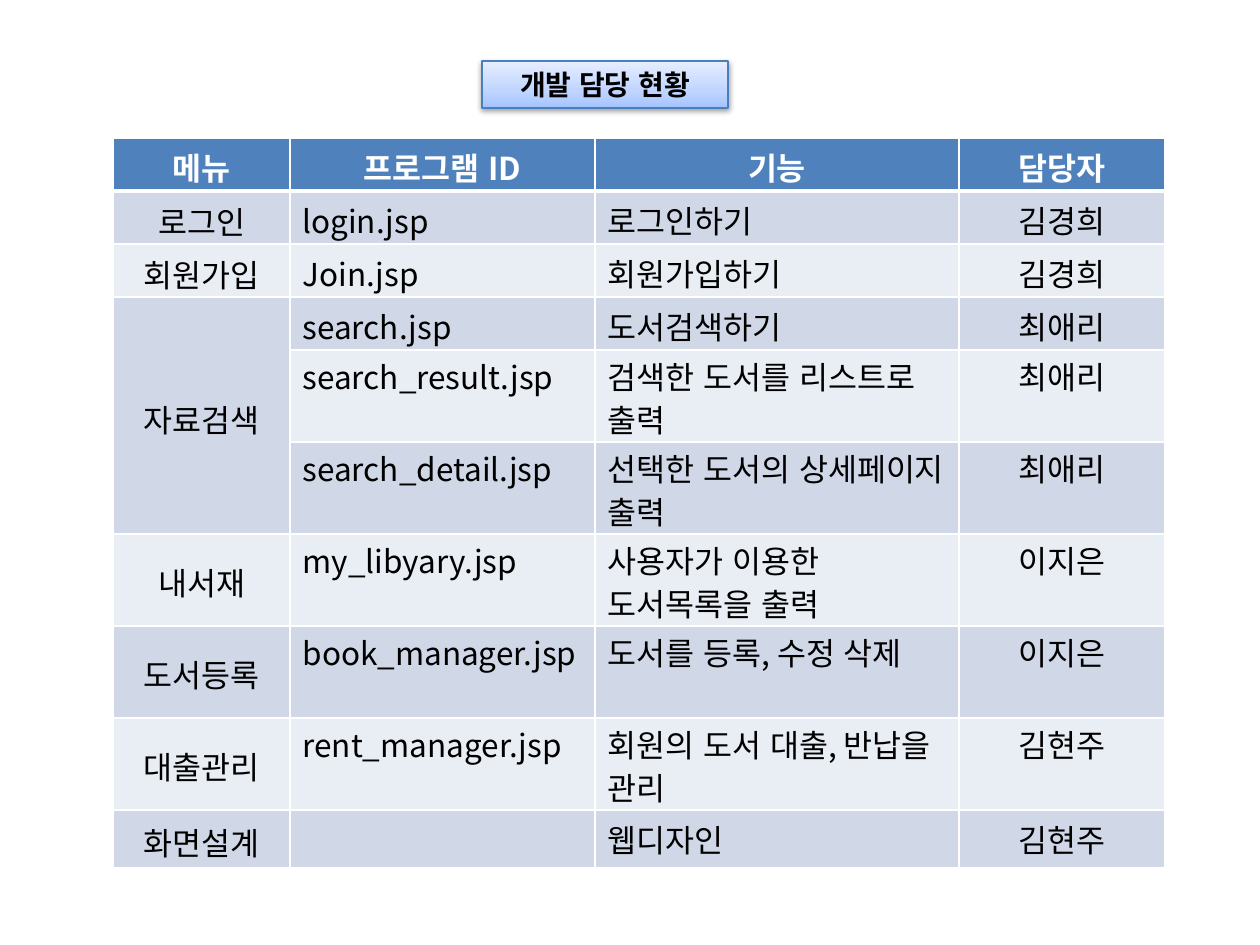
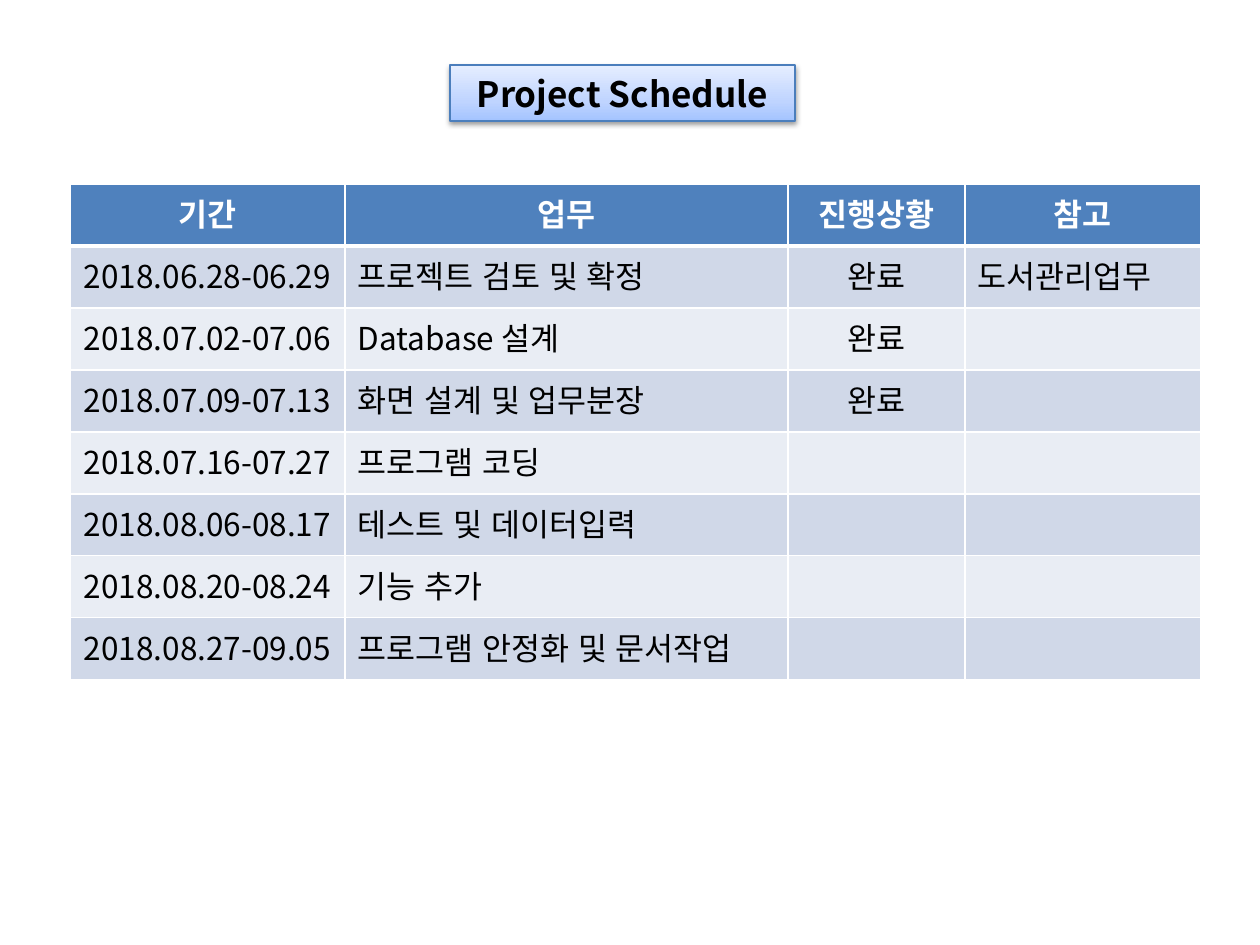
"""Build the two project slides: development assignments and project schedule."""
from copy import deepcopy
from dataclasses import dataclass

from lxml import etree
from pptx import Presentation
from pptx.dml.color import RGBColor
from pptx.enum.lang import MSO_LANGUAGE_ID
from pptx.enum.text import MSO_ANCHOR, MSO_AUTO_SIZE, PP_ALIGN
from pptx.oxml.ns import qn
from pptx.util import Emu, Pt

CENTER, LEFT = PP_ALIGN.CENTER, PP_ALIGN.LEFT
MIDDLE, TOP = MSO_ANCHOR.MIDDLE, MSO_ANCHOR.TOP
FIXED_SIZE = MSO_AUTO_SIZE.NONE
KOREAN = MSO_LANGUAGE_ID.KOREAN

PX_PER_INCH = 126
TITLE_ONLY = 5
FONT = "Noto Sans CJK KR"
TABLE_TEXT_SIZE = 18
CELL_PAD = 6
TALL_ROW = 92
TALL_ROW_SPACING = 0.93
COLORS = {
    "text": "000000",
    "white": "FFFFFF",
    "header": "4F81BD",
    "odd_row": "D0D8E8",
    "even_row": "E9EDF4",
    "title_line": "4B7EBC",
}
TITLE_GRADIENT = ((0, "A4C4FF"), (0.35, "BFD4FF"), (1, "E6EEFF"))


@dataclass(frozen=True)
class Box:
    left: int
    top: int
    width: int
    height: int


@dataclass(frozen=True)
class Grid:
    left: int
    top: int
    columns: tuple[int, ...]
    row_heights: tuple[int, ...]
    rows: tuple[tuple[str, ...], ...]
    centered: tuple[int, ...]
    middle: tuple[int, ...] = ()
    merges: tuple[tuple[int, int, int], ...] = ()


@dataclass(frozen=True)
class Page:
    title: str
    title_size: int
    title_box: Box
    grid: Grid


ASSIGNMENTS = Page(
    "개발 담당 현황", 16, Box(482, 61, 246, 47),
    Grid(
        113, 138, (177, 305, 364, 206), (53,) * 4 + (TALL_ROW,) * 5 + (58,),
        (
            ("메뉴", "프로그램 ID", "기능", "담당자"),
            ("로그인", "login.jsp", "로그인하기", "김경희"),
            ("회원가입", "Join.jsp", "회원가입하기", "김경희"),
            ("자료검색", "search.jsp", "도서검색하기", "최애리"),
            ("", "search_result.jsp", "검색한 도서를 리스트로 출력", "최애리"),
            ("", "search_detail.jsp", "선택한 도서의 상세페이지 출력", "최애리"),
            ("내서재", "my_libyary.jsp", "사용자가 이용한 도서목록을 출력", "이지은"),
            ("도서등록", "book_manager.jsp", "도서를 등록, 수정 삭제", "이지은"),
            ("대출관리", "rent_manager.jsp", "회원의 도서 대출, 반납을 관리", "김현주"),
            ("화면설계", "", "웹디자인", "김현주"),
        ),
        centered=(0, 3), middle=(0,), merges=((3, 5, 0),),
    ),
)
SCHEDULE = Page(
    "Project Schedule", 20, Box(450, 65, 345, 56),
    Grid(
        70, 184, (275, 443, 177, 236), (62,) * 8,
        (
            ("기간", "업무", "진행상황", "참고"),
            ("2018.06.28-06.29", "프로젝트 검토 및 확정", "완료", "도서관리업무"),
            ("2018.07.02-07.06", "Database 설계", "완료", ""),
            ("2018.07.09-07.13", "화면 설계 및 업무분장", "완료", ""),
            ("2018.07.16-07.27", "프로그램 코딩", "", ""),
            ("2018.08.06-08.17", "테스트 및 데이터입력", "", ""),
            ("2018.08.20-08.24", "기능 추가", "", ""),
            ("2018.08.27-09.05", "프로그램 안정화 및 문서작업", "", ""),
        ),
        centered=(0, 2),
    ),
)


def px(length: int) -> Emu:
    return Emu(round(length * 914400 / PX_PER_INCH))


def rgb(key: str) -> RGBColor:
    return RGBColor.from_string(COLORS[key])


def add_run(paragraph, text: str, size: int, color: str, bold: bool) -> None:
    run = paragraph.add_run()
    run.text = text
    font = run.font
    font.size, font.bold, font.language_id = Pt(size), bold, KOREAN
    font.color.rgb = rgb(color)
    font.name = FONT
    latin = run._r.rPr.find(qn("a:latin"))
    east_asian = etree.Element(qn("a:ea"), typeface=FONT)
    latin.addnext(east_asian)


def fill_title(title) -> None:
    title.fill.gradient()
    title.fill.gradient_angle = 90
    stop_list = title._element.spPr.find(".//" + qn("a:gsLst"))
    stop_list.insert(1, deepcopy(stop_list[0]))
    for stop, (position, color) in zip(title.fill.gradient_stops, TITLE_GRADIENT):
        stop.position = position
        stop.color.rgb = RGBColor.from_string(color)


def add_title_shadow(title) -> None:
    title.shadow.inherit = False
    effects = title._element.spPr.find(qn("a:effectLst"))
    shadow = etree.SubElement(effects, qn("a:outerShdw"), blurRad="40000",
                              dist="20000", dir="5400000", rotWithShape="0")
    color = etree.SubElement(shadow, qn("a:srgbClr"), val=COLORS["text"])
    etree.SubElement(color, qn("a:alpha"), val="38000")


def draw_title(slide, page: Page) -> None:
    title, box = slide.shapes.title, page.title_box
    title.left, title.top = px(box.left), px(box.top)
    title.width, title.height = px(box.width), px(box.height)
    fill_title(title)
    title.line.color.rgb = rgb("title_line")
    title.line.width = Pt(0.75)
    add_title_shadow(title)
    frame = title.text_frame
    frame.word_wrap, frame.auto_size = True, FIXED_SIZE
    frame.vertical_anchor = MIDDLE
    frame.paragraphs[0].alignment = CENTER
    add_run(frame.paragraphs[0], page.title, page.title_size, "text", True)


def add_borders(cell, row: int) -> None:
    widths = {"L": 1, "R": 1, "T": 3 if row == 1 else 1, "B": 3 if row == 0 else 1}
    properties = cell._tc.get_or_add_tcPr()
    for index, (side, width) in enumerate(widths.items()):
        border = etree.Element(qn(f"a:ln{side}"), w=str(Pt(width)))
        solid = etree.SubElement(border, qn("a:solidFill"))
        etree.SubElement(solid, qn("a:srgbClr"), val=COLORS["white"])
        properties.insert(index, border)


def draw_cell(cell, grid: Grid, row: int, column: int) -> None:
    is_header = row == 0
    cell.margin_top, cell.margin_bottom = px(CELL_PAD), 0
    is_middle = column in grid.middle and not is_header
    cell.vertical_anchor = MIDDLE if is_middle else TOP
    cell.fill.solid()
    band = "odd_row" if row % 2 else "even_row"
    cell.fill.fore_color.rgb = rgb("header" if is_header else band)
    add_borders(cell, row)
    paragraph = cell.text_frame.paragraphs[0]
    paragraph.alignment = CENTER if is_header or column in grid.centered else LEFT
    if grid.row_heights[row] == TALL_ROW:
        paragraph.line_spacing = TALL_ROW_SPACING
    text = grid.rows[row][column]
    if text:
        add_run(paragraph, text, TABLE_TEXT_SIZE,
                "white" if is_header else "text", is_header)


def draw_grid(slide, grid: Grid) -> None:
    table = slide.shapes.add_table(
        len(grid.rows), len(grid.columns), px(grid.left), px(grid.top),
        px(sum(grid.columns)), px(sum(grid.row_heights))).table
    for column, width in zip(table.columns, grid.columns):
        column.width = px(width)
    for row, height in zip(table.rows, grid.row_heights):
        row.height = px(height)
    for first, last, column in grid.merges:
        table.cell(first, column).merge(table.cell(last, column))
    for row in range(len(grid.rows)):
        for column in range(len(grid.columns)):
            draw_cell(table.cell(row, column), grid, row, column)


def main() -> None:
    deck = Presentation()
    deck.slide_width, deck.slide_height = px(1260), px(945)
    for page in (ASSIGNMENTS, SCHEDULE):
        slide = deck.slides.add_slide(deck.slide_layouts[TITLE_ONLY])
        draw_title(slide, page)
        draw_grid(slide, page.grid)
    deck.save("out.pptx")


if __name__ == "__main__":
    main()
